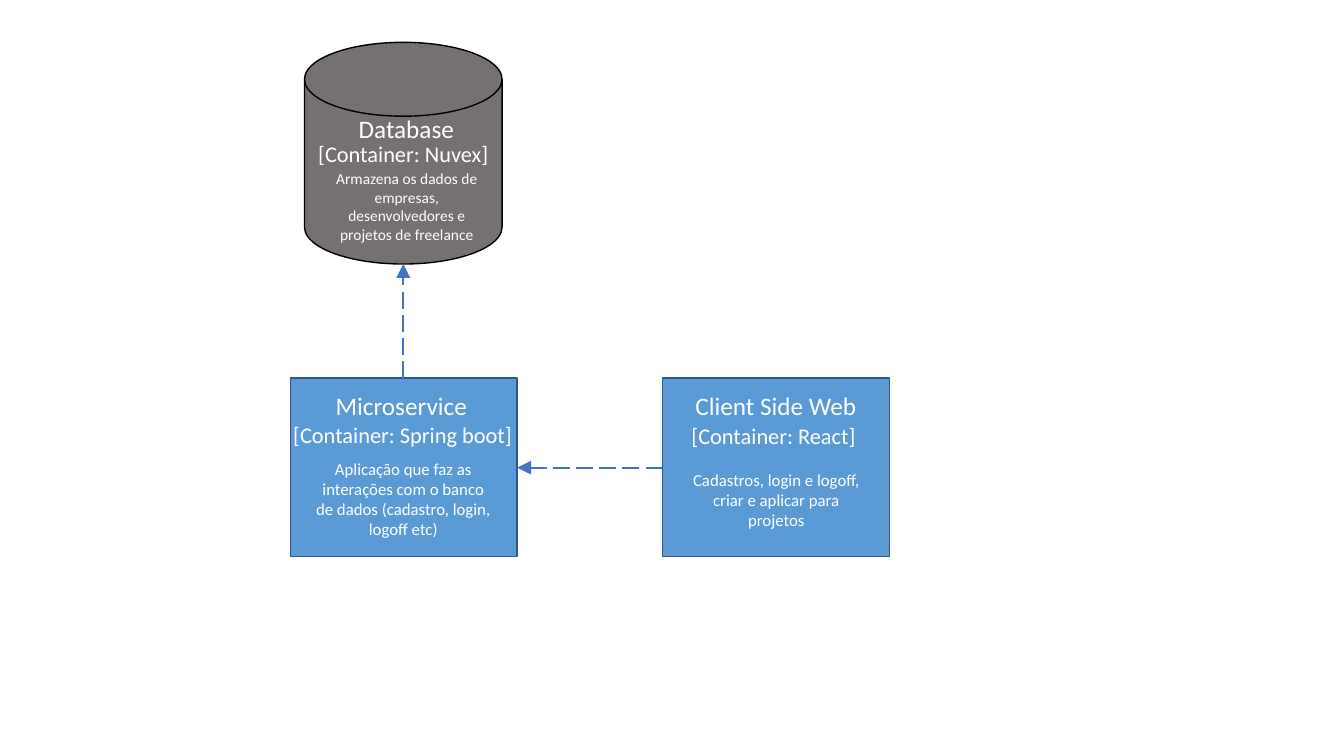
"""Build a container diagram: web client, microservice and database."""
from lxml import etree
from pptx import Presentation
from pptx.dml.color import RGBColor
from pptx.enum.dml import MSO_LINE
from pptx.enum.shapes import MSO_CONNECTOR, MSO_SHAPE
from pptx.enum.text import PP_ALIGN
from pptx.oxml.ns import qn
from pptx.util import Inches, Pt

RECT = MSO_SHAPE.RECTANGLE
DISK = MSO_SHAPE.FLOWCHART_MAGNETIC_DISK
LINE = MSO_CONNECTOR.STRAIGHT
DASH = MSO_LINE.LONG_DASH
LEFT, MID = PP_ALIGN.LEFT, PP_ALIGN.CENTER
COLORS = {"disk": "767171", "rim": "000000", "box": "5B9BD5",
          "edge": "325491", "arrow": "4472C4", "text": "FFFFFF"}
HUES = {name: RGBColor.from_string(code) for name, code in COLORS.items()}

deck = Presentation()
deck.slide_width, deck.slide_height = Inches(13.33), Inches(7.5)
slide = deck.slides.add_slide(deck.slide_layouts[6])
shapes = slide.shapes


def add_text(text, at, size=12, align=LEFT):
    frame = shapes.add_textbox(*map(Inches, at)).text_frame
    frame.word_wrap = True
    para = frame.paragraphs[0]
    para.alignment = align
    run = para.add_run()
    run.text = text
    run.font.name = "Calibri"
    run.font.size = Pt(size)
    run.font.color.rgb = HUES["text"]


nodes = [
    (DISK, (3.02, 0.42, 1.96, 2.2), "disk", "rim", [
        ("Database", (3.46, 1.08, 1.2, 0.4), 18, LEFT),
        ("[Container: Nuvex]", (2.9, 1.34, 2.2, 0.37), 16, MID),
        ("Armazena os dados de empresas, desenvolvedores e "
         "projetos de freelance", (3.13, 1.63, 1.81, 0.84), 11, MID)]),
    (RECT, (6.57, 3.75, 2.25, 1.77), "box", "edge", [
        ("Client Side Web", (6.8, 3.82, 1.93, 0.4), 18, LEFT),
        ("[Container: React]", (6.76, 4.14, 1.87, 0.37), 16, LEFT),
        ("Cadastros, login e logoff, criar e aplicar para projetos",
         (6.7, 4.61, 2, 0.71), 12, MID)]),
    (RECT, (2.88, 3.75, 2.25, 1.77), "box", "edge", [
        ("Microservice", (3.23, 3.82, 1.61, 0.4), 18, LEFT),
        ("[Container: Spring boot]", (2.81, 4.13, 2.45, 0.37), 16, LEFT),
        ("Aplicação que faz as interações com o banco de dados "
         "(cadastro, login, logoff etc)", (3, 4.5, 2, 0.91), 12, MID)]),
]
for kind, at, fill, edge, labels in nodes:
    node = shapes.add_shape(kind, *map(Inches, at))
    node.shadow.inherit = False
    node.fill.solid()
    node.fill.fore_color.rgb = HUES[fill]
    node.line.color.rgb = HUES[edge]
    node.line.width = Pt(1)
    for text, spot, size, align in labels:
        add_text(text, spot, size=size, align=align)

for ends in [(4, 3.75, 4, 2.62), (6.57, 4.64, 5.13, 4.64)]:
    arrow = shapes.add_connector(LINE, *map(Inches, ends))
    arrow.line.color.rgb = HUES["arrow"]
    arrow.line.width = Pt(1.5)
    arrow.line.dash_style = DASH
    props = arrow.element.spPr
    etree.SubElement(props.find(qn("a:ln")), qn("a:tailEnd"),
                     type="triangle", w="lg", len="lg")
    etree.SubElement(props, qn("a:effectLst"))

deck.save("out.pptx")
